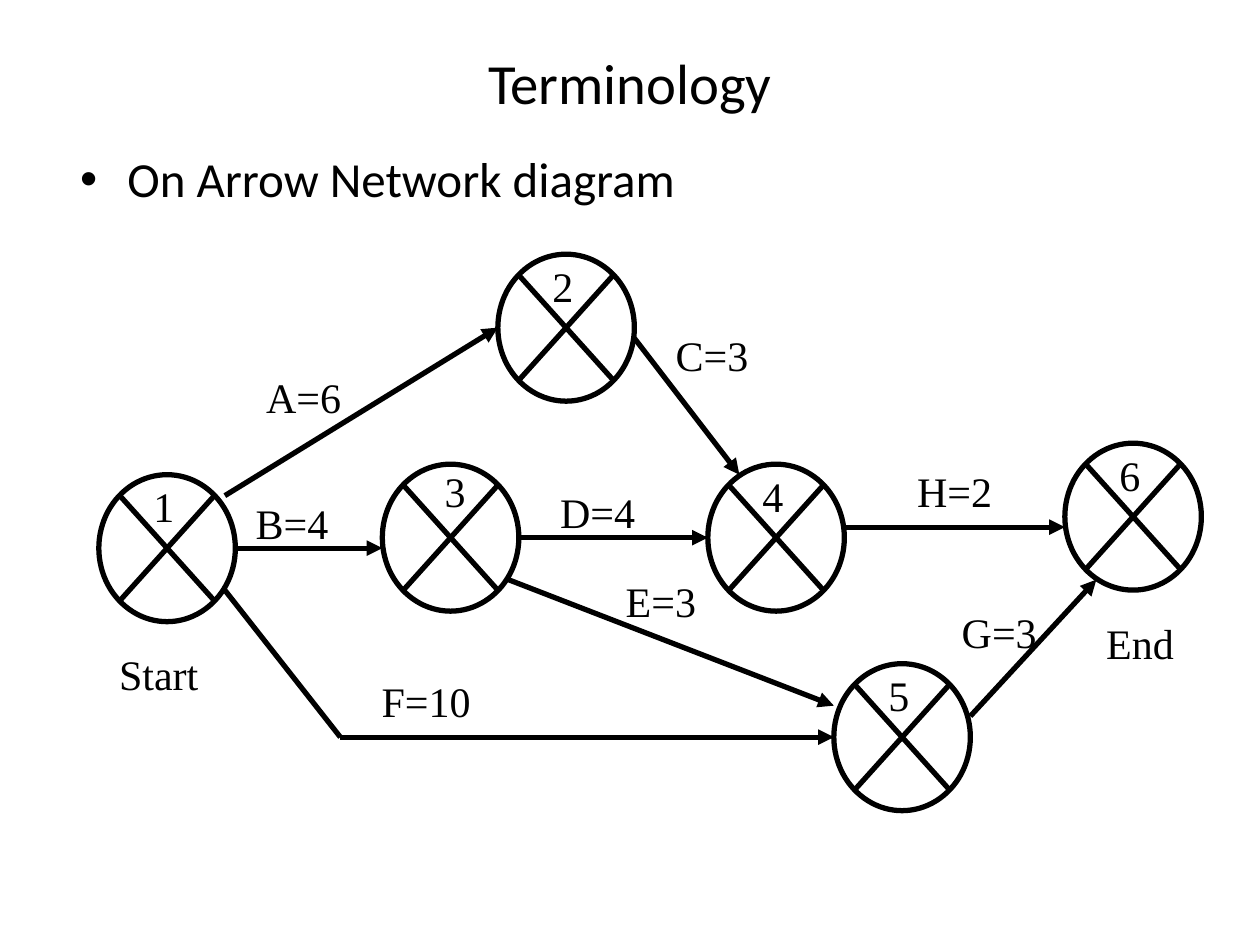
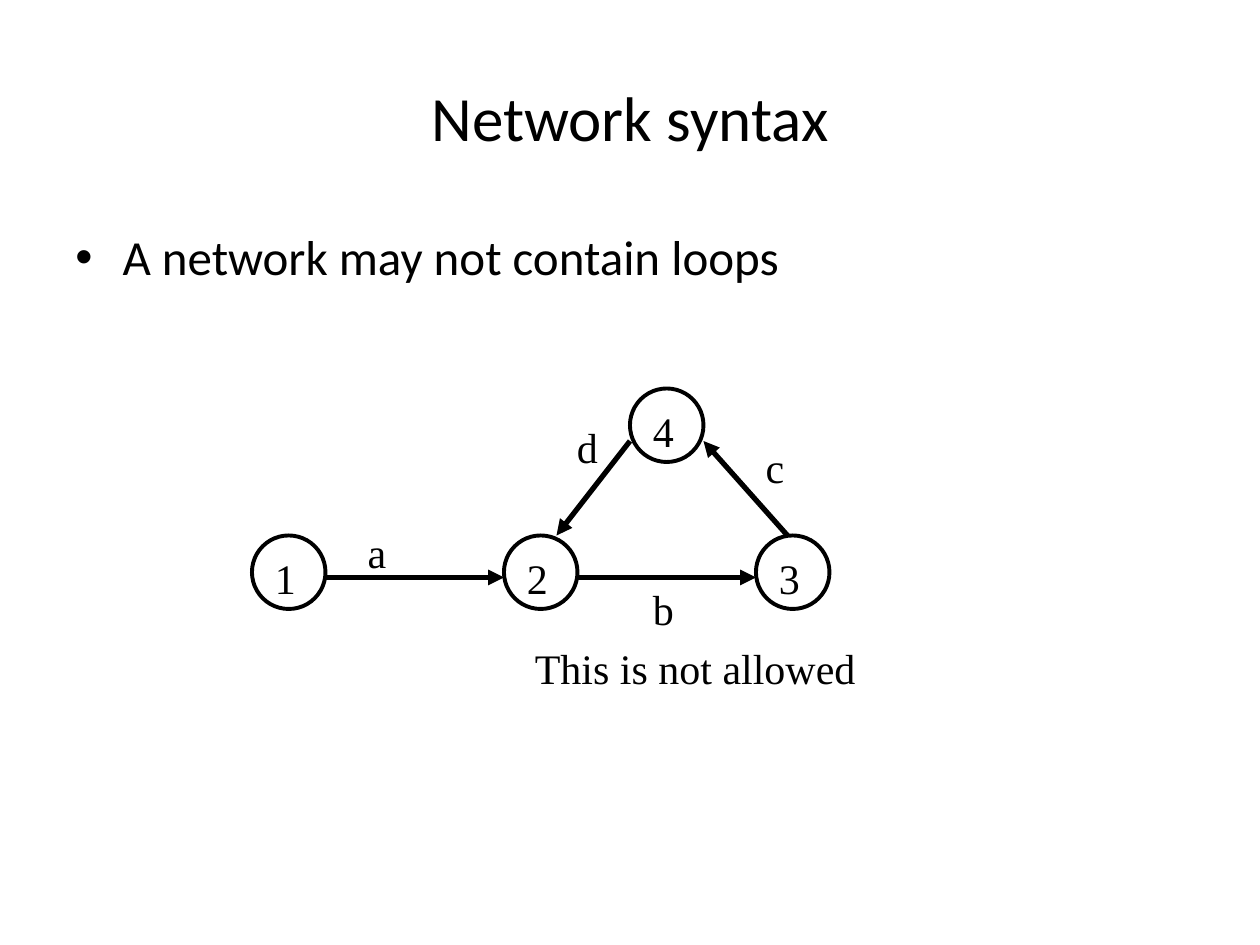
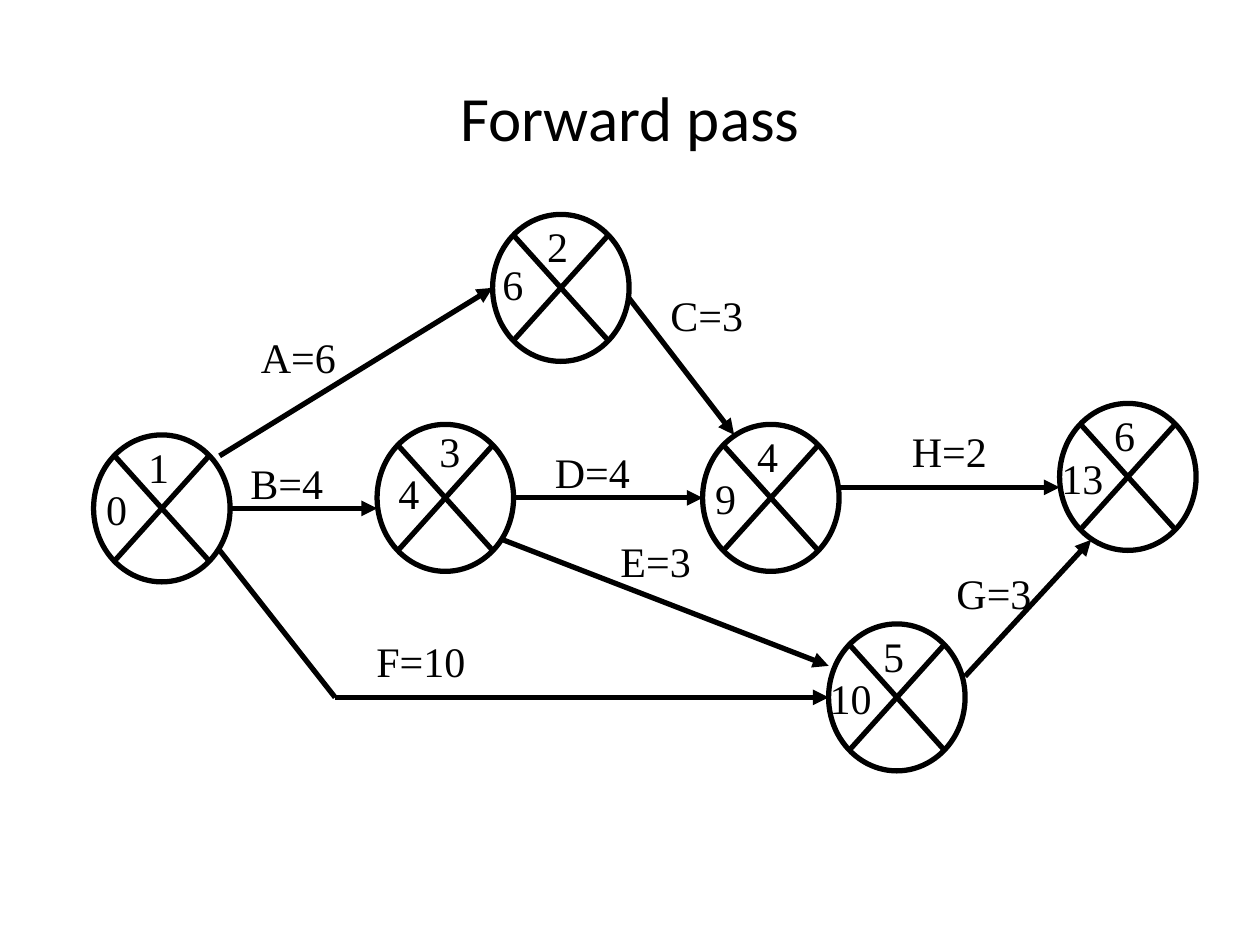
from dataclasses import dataclass

from lxml import etree
from pptx import Presentation
from pptx.dml.color import RGBColor
from pptx.enum.shapes import MSO_CONNECTOR, MSO_SHAPE
from pptx.enum.text import MSO_ANCHOR, MSO_AUTO_SIZE, PP_ALIGN
from pptx.oxml.ns import qn
from pptx.util import Pt

OVAL = MSO_SHAPE.OVAL
STRAIGHT = MSO_CONNECTOR.STRAIGHT
MIDDLE = MSO_ANCHOR.MIDDLE
CENTER = PP_ALIGN.CENTER
NO_FIT = MSO_AUTO_SIZE.NONE
GROW = MSO_AUTO_SIZE.SHAPE_TO_FIT_TEXT
TITLE_ONLY = 5


@dataclass(frozen=True)
class Theme:
    ink: RGBColor = RGBColor(0, 0, 0)
    paper: RGBColor = RGBColor(255, 255, 255)
    head: str = "Calibri"
    note: str = "Times New Roman"
    title: float = 36
    bullet: float = 28
    label: float = 24
    thick: float = 3
    thin: float = 2.25


THEME = Theme()

# Network diagram, in points from the top left corner of event 1
EVENT_W, EVENT_H, INSET = 78, 84, 12
DIGIT_W, PAIR_W, LABEL_H = 26.5, 38.5, 36
EVENTS = {
    "1": (0, 0),
    "3": (162, -6),
    "2": (228, -126),
    "4": (348, -6),
    "5": (420, 108),
    "6": (552, -18),
}
NUMBER_AT = {"3": (28.5, -3)}
ARROWS = [
    (72, 12, 228, -84),
    (78, 42, 162, 42),
    (240, 36, 348, 36),
    (426, 30, 552, 30),
    (498, 138, 570, 60),
    (138, 150, 420, 150),
    (306, -78, 366, 0),
    (234, 60, 420, 132),
]
BEND = (72, 66, 138, 150)
TASKS = [
    ("A=6", 88.5, -62.5, 57.5),
    ("B=4", 82.5, 9.5, 56.5),
    ("D=4", 256.5, 3, 57.5),
    ("C=3", 322.5, -86.5, 56.5),
    ("E=3", 294, 54, 55),
    ("F=10", 154.5, 111, 65.5),
    ("H=2", 460.5, -9, 57.5),
    ("G=3", 486, 72, 57.5),
]
# Earliest time of each event, with its offset inside the event
EARLY = {
    "1": ("0", 0, 24.5),
    "2": ("6", -1.5, 21.5),
    "3": ("4", 5, 21),
    "4": ("9", 0, 24),
    "5": ("10", -6.5, 24.5),
    "6": ("13", -6, 24.5),
}

# Loop diagram, in points on the slide
RING = 42
RINGS = {"1": (144, 306), "2": (288, 306), "3": (432, 306), "4": (360, 222)}
LOOP = [
    (186, 330, 288, 330),
    (330, 330, 432, 330),
    (360, 252, 318, 306),
    (450, 306, 402, 252),
]
LOOP_TEXT = [
    ("a", 203, 297.5, 25),
    ("b", 366, 330, DIGIT_W),
    ("c", 430.5, 249, 25),
    ("d", 322.5, 237.5, DIGIT_W),
    ("This is not allowed", 298.5, 363.5, 198),
]


def style(par, face, size):
    par.font.name = face
    par.font.size = Pt(size)
    par.font.color.rgb = THEME.ink


def add_page(deck, text, height=90, size=THEME.title):
    page = deck.slides.add_slide(deck.slide_layouts[TITLE_ONLY])
    page.background.fill.solid()
    page.background.fill.fore_color.rgb = THEME.paper
    title = page.shapes.title
    title.left, title.top = Pt(36), Pt(21.6)
    title.width, title.height = Pt(648), Pt(height)
    frame = title.text_frame
    frame.text = text
    frame.auto_size = NO_FIT
    frame.vertical_anchor = MIDDLE
    par = frame.paragraphs[0]
    par.alignment = CENTER
    style(par, THEME.head, size)
    return page


def add_text(page, text, x, y, w, h, face, size, wrap=False):
    box = page.shapes.add_textbox(Pt(x), Pt(y), Pt(w), Pt(h))
    frame = box.text_frame
    frame.word_wrap = wrap
    frame.auto_size = NO_FIT if wrap else GROW
    frame.text = text
    par = frame.paragraphs[0]
    style(par, face, size)
    return par


def add_label(page, text, x, y, w=DIGIT_W):
    add_text(page, text, x, y, w, LABEL_H, THEME.note, THEME.label)


def add_bullet(page, text, x, y):
    par = add_text(page, text, x, y, 648, 356.4, THEME.head, THEME.bullet, True)
    par.space_before = Pt(0.2 * THEME.bullet)
    props = par._p.get_or_add_pPr()
    props.set("marL", str(Pt(27)))
    props.set("indent", str(Pt(-27)))
    etree.SubElement(props, qn("a:buFont")).set("typeface", "Arial")
    etree.SubElement(props, qn("a:buChar")).set("char", "•")


def add_oval(page, x, y, w, h, weight):
    oval = page.shapes.add_shape(OVAL, Pt(x), Pt(y), Pt(w), Pt(h))
    oval.shadow.inherit = False
    oval.fill.background()
    oval.line.color.rgb = THEME.ink
    oval.line.width = Pt(weight)


def add_line(page, x1, y1, x2, y2, arrow=False):
    line = page.shapes.add_connector(STRAIGHT, Pt(x1), Pt(y1), Pt(x2), Pt(y2))
    line.line.color.rgb = THEME.ink
    line.line.width = Pt(THEME.thick)
    props = line._element.spPr
    if arrow:
        tip = etree.SubElement(props.find(qn("a:ln")), qn("a:tailEnd"))
        tip.set("type", "triangle")
    etree.SubElement(props, qn("a:effectLst"))


def add_event(page, x, y):
    """Draw a circle split in four by a cross."""
    add_oval(page, x, y, EVENT_W, EVENT_H, THEME.thick)
    left, right = x + INSET, x + EVENT_W - INSET
    top, base = y + INSET, y + EVENT_H - INSET
    add_line(page, left, top, right, base)
    add_line(page, right, top, left, base)


def add_network(page, x, y):
    """Draw the whole network with event 1 at x, y."""
    for dx, dy in EVENTS.values():
        add_event(page, x + dx, y + dy)
    for x1, y1, x2, y2 in ARROWS:
        add_line(page, x + x1, y + y1, x + x2, y + y2, True)
    x1, y1, x2, y2 = BEND
    add_line(page, x + x1, y + y1, x + x2, y + y2)
    for name, (dx, dy) in EVENTS.items():
        nx, ny = NUMBER_AT.get(name, (24, 0))
        add_label(page, name, x + dx + nx, y + dy + ny)
    for text, dx, dy, w in TASKS:
        add_label(page, text, x + dx, y + dy, w)


def add_times(page, x, y):
    for name, (time, tx, ty) in EARLY.items():
        dx, dy = EVENTS[name]
        w = DIGIT_W if len(time) == 1 else PAIR_W
        add_label(page, time, x + dx + tx, y + dy + ty, w)


def add_loop(page):
    for name, (x, y) in RINGS.items():
        add_oval(page, x, y, RING, RING, THEME.thin)
        add_label(page, name, x + 6, y + 6)
    for ends in LOOP:
        add_line(page, *ends, True)
    for item in LOOP_TEXT:
        add_label(page, *item)


def main():
    deck = Presentation()
    deck.slide_width, deck.slide_height = Pt(720), Pt(540)

    terms = add_page(deck, "Terminology", 50.4, 32.4)
    add_bullet(terms, "On Arrow Network diagram", 38.75, 81.5)
    add_network(terms, 56.5, 271.25)
    add_label(terms, "Start", 61, 367, 60.5)
    add_label(terms, "End", 625, 349.25, 53.5)

    syntax = add_page(deck, "Network syntax")
    add_bullet(syntax, "A network may not contain loops", 36, 126)
    add_loop(syntax)

    forward = add_page(deck, "Forward pass")
    add_network(forward, 53.5, 248.5)
    add_times(forward, 53.5, 248.5)

    deck.save("out.pptx")


if __name__ == "__main__":
    main()
